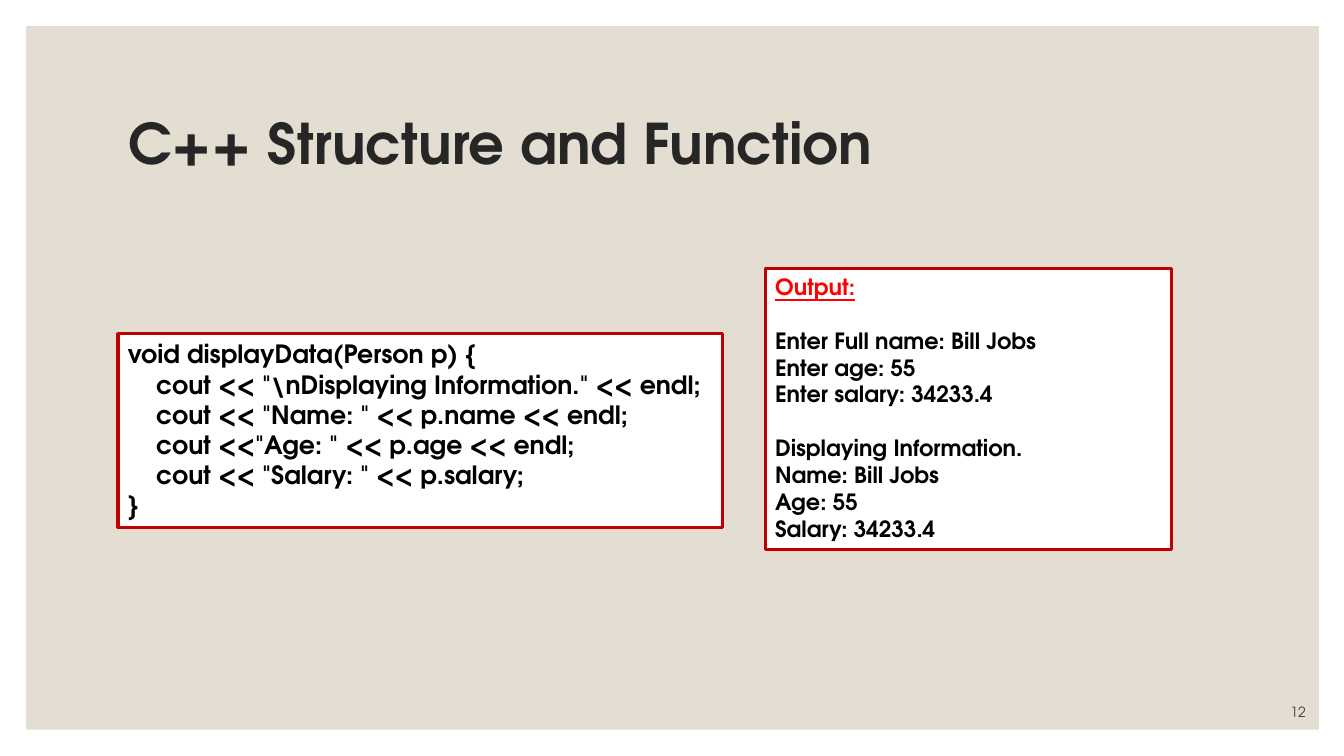
from dataclasses import dataclass

from pptx import Presentation
from pptx.dml.color import RGBColor
from pptx.enum.shapes import MSO_SHAPE as Shape
from pptx.enum.text import MSO_ANCHOR as Anchor, PP_ALIGN as Align
from pptx.slide import Slide
from pptx.text.text import TextFrame
from pptx.util import Inches, Pt


@dataclass(frozen=True)
class Theme:
    font: str = "TeX Gyre Adventor"
    panel: RGBColor = RGBColor(0xE3, 0xDE, 0xD1)
    white: RGBColor = RGBColor(0xFF, 0xFF, 0xFF)
    black: RGBColor = RGBColor(0, 0, 0)
    border: RGBColor = RGBColor(0xC0, 0, 0)
    heading: RGBColor = RGBColor(0xFF, 0, 0)
    title: RGBColor = RGBColor(0x26, 0x26, 0x26)
    number: RGBColor = RGBColor(0x40, 0x40, 0x40)
    title_size: float = 40
    code_size: float = 18
    output_size: float = 16
    number_size: float = 10
    border_width: float = 2.25
    group_gap: float = 19.2


@dataclass(frozen=True)
class Area:
    left: float
    top: float
    width: float
    height: float

    def lengths(self) -> tuple:
        return tuple(Inches(n) for n in (self.left, self.top, self.width, self.height))


@dataclass(frozen=True)
class Line:
    text: str
    heading: bool = False
    gap_before: bool = False


@dataclass(frozen=True)
class ListingBox:
    area: Area
    size: float
    lines: tuple[Line, ...]


THEME = Theme()

CODE = ListingBox(Area(1.17, 3.31, 6, 1.92), THEME.code_size, (
    Line("void displayData(Person p) {"),
    Line(r'    cout << "\nDisplaying Information." << endl;'),
    Line('    cout << "Name: " << p.name << endl;'),
    Line('    cout <<"Age: " << p.age << endl;'),
    Line('    cout << "Salary: " << p.salary;'),
    Line("}"),
))

OUTPUT = ListingBox(Area(7.59, 2.66, 4.03, 2.79), THEME.output_size, (
    Line("Output:", heading=True),
    Line("Enter Full name: Bill Jobs", gap_before=True),
    Line("Enter age: 55"),
    Line("Enter salary: 34233.4"),
    Line("Displaying Information.", gap_before=True),
    Line("Name: Bill Jobs"),
    Line("Age: 55"),
    Line("Salary: 34233.4"),
))


def write(frame: TextFrame, text: str, *, size: float, color: RGBColor,
          bold: bool = False, underline: bool = False, first: bool = True,
          align: Align = Align.LEFT, before: float = 0, spacing: float = 1.0) -> None:
    para = frame.paragraphs[0] if first else frame.add_paragraph()
    para.alignment = align
    para.space_before = Pt(before)
    para.line_spacing = spacing
    span = para.add_run()
    span.text = text
    span.font.name = THEME.font
    span.font.size = Pt(size)
    span.font.bold = bold
    span.font.underline = underline
    span.font.color.rgb = color


def add_rectangle(page: Slide, area: Area, fill: RGBColor, border: RGBColor | None = None):
    box = page.shapes.add_shape(Shape.RECTANGLE, *area.lengths())
    box.shadow.inherit = False
    box.fill.solid()
    box.fill.fore_color.rgb = fill
    if border is None:
        box.line.fill.background()
    else:
        box.line.color.rgb = border
        box.line.width = Pt(THEME.border_width)
    return box


def add_listing(page: Slide, listing: ListingBox) -> None:
    frame = add_rectangle(page, listing.area, THEME.white, THEME.border).text_frame
    frame.word_wrap = True
    frame.vertical_anchor = Anchor.TOP
    for index, line in enumerate(listing.lines):
        write(frame, line.text, size=listing.size, bold=True, first=index == 0,
              color=THEME.heading if line.heading else THEME.black,
              underline=line.heading,
              before=THEME.group_gap if line.gap_before else 0)


def add_title(page: Slide, area: Area, text: str) -> None:
    title = page.shapes.title
    title.left, title.top, title.width, title.height = area.lengths()
    title.text_frame.vertical_anchor = Anchor.MIDDLE
    write(title.text_frame, text, size=THEME.title_size, color=THEME.title,
          bold=True, spacing=0.9)
    # Bring the title in front of the panel
    page.shapes.element.append(title.element)


def add_page_number(page: Slide, area: Area, text: str) -> None:
    frame = page.shapes.add_textbox(*area.lengths()).text_frame
    frame.word_wrap = True
    frame.vertical_anchor = Anchor.BOTTOM
    write(frame, text, size=THEME.number_size, color=THEME.number, align=Align.RIGHT)


def main() -> None:
    deck = Presentation()
    deck.slide_width, deck.slide_height = Inches(13.33), Inches(7.5)
    page = deck.slides.add_slide(deck.slide_layouts.get_by_name("Title Only"))

    # Background panel and title
    add_rectangle(page, Area(0.26, 0.26, 12.82, 6.98), THEME.panel)
    add_title(page, Area(1.17, 0.7, 11, 1.5), "C++ Structure and Function")

    # Code and its output
    for listing in (CODE, OUTPUT):
        add_listing(page, listing)

    add_page_number(page, Area(11.45, 6.9, 1.6, 0.3), "12")
    deck.save("out.pptx")


if __name__ == "__main__":
    main()
